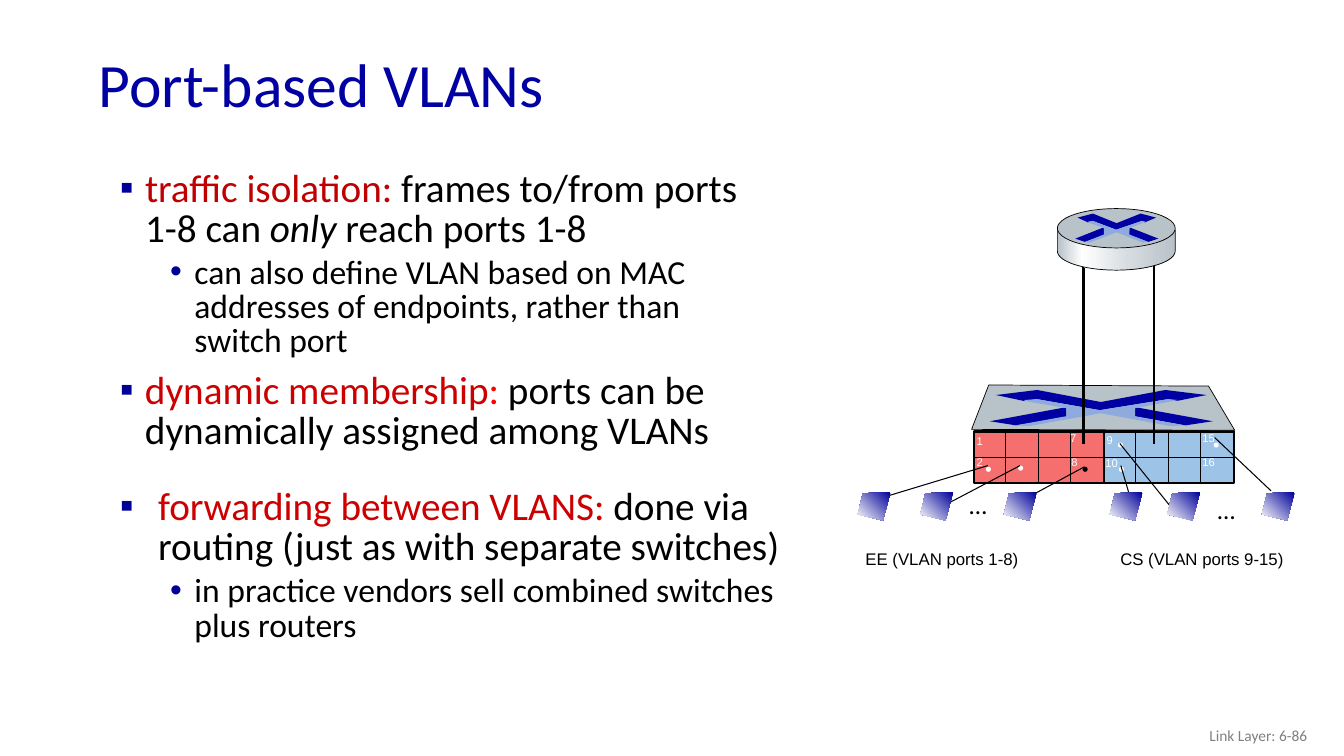
import dataclasses
import math

import lxml.etree
import pptx
import pptx.dml.color
import pptx.enum.shapes
import pptx.enum.text
import pptx.oxml.ns
import pptx.util

Pt = pptx.util.Pt
qn = pptx.oxml.ns.qn
Color = pptx.dml.color.RGBColor.from_string
Align = pptx.enum.text.PP_ALIGN
Anchor = pptx.enum.text.MSO_ANCHOR
Shape = pptx.enum.shapes.MSO_SHAPE


@dataclasses.dataclass
class Style:
    size: float
    color: str = "000000"
    font: str = "Calibri"
    align: Align = Align.LEFT
    spacing: float = 1.0
    before: float = 0
    bullet: str = ""
    margin: float = 0
    hanging: float = 0
    level: int = 0


@dataclasses.dataclass
class Theme:
    black = "000000"
    white = "FFFFFF"
    navy = "0000A3"
    bullet = "000099"
    shade = "8FAADC"
    steel = "B8C2C9"
    red_ports = "F56F6F"
    blue_ports = "9DC3E6"
    crimson = "C00000"
    red = "CC0000"
    bright_red = "FF0000"
    screen = ((0, "000099"), (100, "FFFFFF"))
    metal = ((0, "B8C2C9"), (21, "FFFFFF"), (60, "D6DCE0"), (100, "B8C2C9"))
    title = Style(44, "0000A3", spacing=0.9)
    footer = Style(11, "808080", align=Align.RIGHT)
    point = Style(28, spacing=0.85, bullet="▪", margin=18, hanging=18)
    wide_point = dataclasses.replace(point, margin=27.4, hanging=27.4)
    detail = Style(24, spacing=0.85, before=4.8, bullet="•", margin=53.3, hanging=17.3, level=1)
    port = Style(8, "FFFFFF", "Arial")
    caption = Style(12, font="Arial", align=Align.CENTER)
    dots = Style(18)


theme = Theme()
deck = pptx.Presentation()
deck.slide_width, deck.slide_height = Pt(960), Pt(540)
page = deck.slides.add_slide(deck.slide_layouts[6])


def add_text(area, paragraphs, wrap=True, anchor=Anchor.TOP):
    """Each paragraph is a style and a list of (text, color, italic) spans."""
    frame = page.shapes.add_textbox(*map(Pt, area)).text_frame
    frame.word_wrap, frame.vertical_anchor = wrap, anchor
    for index, (style, spans) in enumerate(paragraphs):
        para = frame.add_paragraph() if index else frame.paragraphs[0]
        para.alignment, para.level = style.align, style.level
        para.line_spacing = style.spacing
        if index:
            para.space_before = Pt(style.before)
        if style.bullet:
            settings = para._p.get_or_add_pPr()
            settings.set("marL", str(Pt(style.margin)))
            settings.set("indent", str(-Pt(style.hanging)))
            tint = lxml.etree.SubElement(settings, qn("a:buClr"))
            lxml.etree.SubElement(tint, qn("a:srgbClr"), val=theme.bullet)
            lxml.etree.SubElement(settings, qn("a:buFont"), typeface="Arial")
            lxml.etree.SubElement(settings, qn("a:buChar"), char=style.bullet)
        for text, color, italic in spans:
            span = para.add_run()
            span.text = text
            span.font.name, span.font.size = style.font, Pt(style.size)
            span.font.color.rgb = Color(color or style.color)
            span.font.italic = italic


def add_figure(points, fill, origin=(0, 0), scale=(1, 1), edge=0, angle=0):
    """Draw a closed outline; fill is a color or a sequence of gradient stops."""
    corners = [tuple(Pt(o + s * v) for o, s, v in zip(origin, scale, point)) for point in points]
    builder = page.shapes.build_freeform(*corners[0])
    builder.add_line_segments(corners[1:], close=True)
    figure = builder.convert_to_shape()
    figure.shadow.inherit = False
    if isinstance(fill, str):
        figure.fill.solid()
        figure.fill.fore_color.rgb = Color(fill)
    else:
        figure.fill.gradient()
        figure.fill.gradient_angle = -angle % 360
        stops = figure._element.spPr.find(".//" + qn("a:gsLst"))
        stops[:] = []
        for position, color in fill:
            stop = lxml.etree.SubElement(stops, qn("a:gs"), pos=str(position * 1000))
            lxml.etree.SubElement(stop, qn("a:srgbClr"), val=color)
    if edge:
        figure.line.color.rgb, figure.line.width = Color(theme.black), Pt(edge)
    else:
        figure.line.fill.background()


# Title, bullets and footer
add_text((63.4, 27.4, 828, 70.6), [(theme.title, [("Port-based VLANs", None, False)])],
         anchor=Anchor.MIDDLE)
add_text((725, 511.2, 216, 28.8), [(theme.footer, [("Link Layer: 6-86", None, False)])],
         anchor=Anchor.MIDDLE)
add_text((78.5, 118, 478, 139), [
    (theme.point, [("traffic isolation: ", theme.crimson, False),
                   ("frames to/from ports 1-8 can ", None, False),
                   ("only", None, True), (" reach ports 1-8", None, False)]),
    (theme.detail, [("can also define VLAN based on MAC addresses of endpoints, "
                     "rather than switch port", None, False)])])
add_text((78.5, 262.8, 463.7, 126.7), [
    (theme.point, [("dynamic membership", theme.red, False), (":", theme.bright_red, False),
                   (" ports can be dynamically assigned among VLANs", None, False)])])
add_text((78.5, 345.6, 488.2, 126.7), [
    (theme.wide_point, [("forwarding between VLANS: ", theme.red, False),
                        ("done via routing (just as with separate switches)", None, False)]),
    (theme.detail, [("in practice vendors sell combined switches plus routers", None, False)])])

# Port panels, port dots and the router lid share one kind of preset shape
panel_top, panel_width, panel_height, port_pitch = 308.2, 92.9, 36.7, 23
panels = [(695.5, theme.red_ports), (788.4, theme.blue_ports)]
presets = [(Shape.RECTANGLE, (left, panel_top, panel_width, panel_height), color, 1.5)
           for left, color in panels]
port_dots = [(704.2, 333.4, theme.white), (727.2, 332.6, theme.white), (773.3, 333.4, theme.black),
             (799.2, 333.4, theme.white), (798.5, 316.1, theme.white), (866.9, 316.1, theme.white)]
presets += [(Shape.OVAL, (left, top, 3.6, 3.6), color, 0) for left, top, color in port_dots]
presets.append((Shape.OVAL, (755.3, 149, 84.2, 28.1), theme.steel, 0.5))
lid = None
for kind, area, color, edge in presets:
    lid = page.shapes.add_shape(kind, *map(Pt, area))
    lid.shadow.inherit = False
    lid.fill.solid()
    lid.fill.fore_color.rgb = Color(color)
    if edge:
        lid.line.color.rgb, lid.line.width = Color(theme.black), Pt(edge)
    else:
        lid.line.fill.background()

# Crossed arrows on the switch, reused smaller on the router
cross = [
    ([(121, 0), (150.5, 3.6), (128.9, 7.9), (123.1, 6.5), (74.2, 14.4), (29.5, 6.5),
      (20.2, 7.9), (0, 3.6), (29.5, 0), (74.9, 8.6)], theme.navy),
    ([(99.4, 12.2), (154.8, 22.3), (135.4, 25.2), (98.6, 18.7)], theme.navy),
    ([(50.4, 12.2), (50.4, 19.4), (14.4, 25.2), (-4.3, 22.3)], theme.navy),
    ([(20.2, 7.2), (28.8, 6.5), (74.2, 14.4), (123.1, 6.5), (130.3, 7.2), (99.4, 13),
      (99.4, 18.7), (134.6, 25.2), (125.3, 25.9), (74.9, 16.6), (23, 25.9), (14.4, 25.2),
      (50.4, 18.7), (50.4, 13), (20.9, 7.9)], theme.shade)]
add_figure([(694, 306.7), (706.3, 275), (863.3, 275.8), (882, 307.4)], theme.steel, edge=0.5)
for points, color in cross:
    add_figure(points, color, origin=(711.4, 278.6))

# Port grid, links to computers, uplinks to the router
lines = []
for left, _ in panels:
    middle = panel_top + panel_height / 2
    lines.append((left, middle, left + panel_width, middle, 0.75))
    lines += [(left + port_pitch * column, panel_top, left + port_pitch * column,
               panel_top + panel_height, 0.75) for column in (1, 2, 3)]
lines += [(*link, 0.75) for link in [
    (705.6, 332.6, 634.3, 354.2), (728.6, 332.6, 665.3, 365.8), (774.7, 333.4, 721.4, 362.2),
    (800.6, 332.6, 809.3, 362.2), (799.9, 316.8, 838.1, 364.3), (867.6, 312.5, 907.9, 350.6)]]
lines += [(x, 174.2, x, 317.5, 1.75) for x in (774, 824.4)]
for left, top, right, bottom, width in lines:
    line = page.shapes.add_connector(pptx.enum.shapes.MSO_CONNECTOR.STRAIGHT,
                                     *map(Pt, (left, top, right, bottom)))
    line.line.color.rgb, line.line.width = Color(theme.black), Pt(width)
    lxml.etree.SubElement(line._element.spPr, qn("a:effectLst"))

for left in (612.7, 657.4, 717.1, 792.7, 833.8, 901.4):
    add_figure([(23.4, 0), (3.6, 0.7), (0, 15.8), (18, 20.2)], theme.screen,
               origin=(left, 351.6), angle=135)

# Router body: straight sides closed by the lower half of an ellipse
rim = [(797.4 + 42.1 * math.cos(math.radians(turn)), 179.3 + 13.7 * math.sin(math.radians(turn)))
       for turn in range(0, 181, 6)]
add_figure([(755.3, 164.2), (839.5, 164.2)] + rim, theme.metal, edge=0.5)
page.shapes._spTree.append(lid._element)
for points, color in cross:
    add_figure(points, color, origin=(769.7, 152.6), scale=(0.373, 0.8))

# Labels
port_labels = [("1", 690.5, 306.7), ("2", 690.5, 321.8), ("7", 757.4, 304.6), ("8", 758.2, 321.8),
               ("9", 783.4, 306), ("10", 782.6, 322.6), ("15", 851.8, 304.6), ("16", 851.8, 321.8)]
labels = [(text, (left, top, 13.6 + 5.1 * len(text), 16.6), theme.port, False)
          for text, left, top in port_labels]
labels += [("…", (685.4, 346.3, 27.4, 28.8), theme.dots, False),
           ("…", (862.6, 349.2, 27.4, 28.8), theme.dots, False),
           ("EE (VLAN ports 1-8)", (604.8, 388.1, 136.1, 21.6), theme.caption, True),
           ("CS (VLAN ports 9-15)", (757.4, 388.1, 202.3, 21.6), theme.caption, True)]
for text, area, style, wrap in labels:
    add_text(area, [(style, [(text, None, False)])], wrap)

deck.save("out.pptx")
